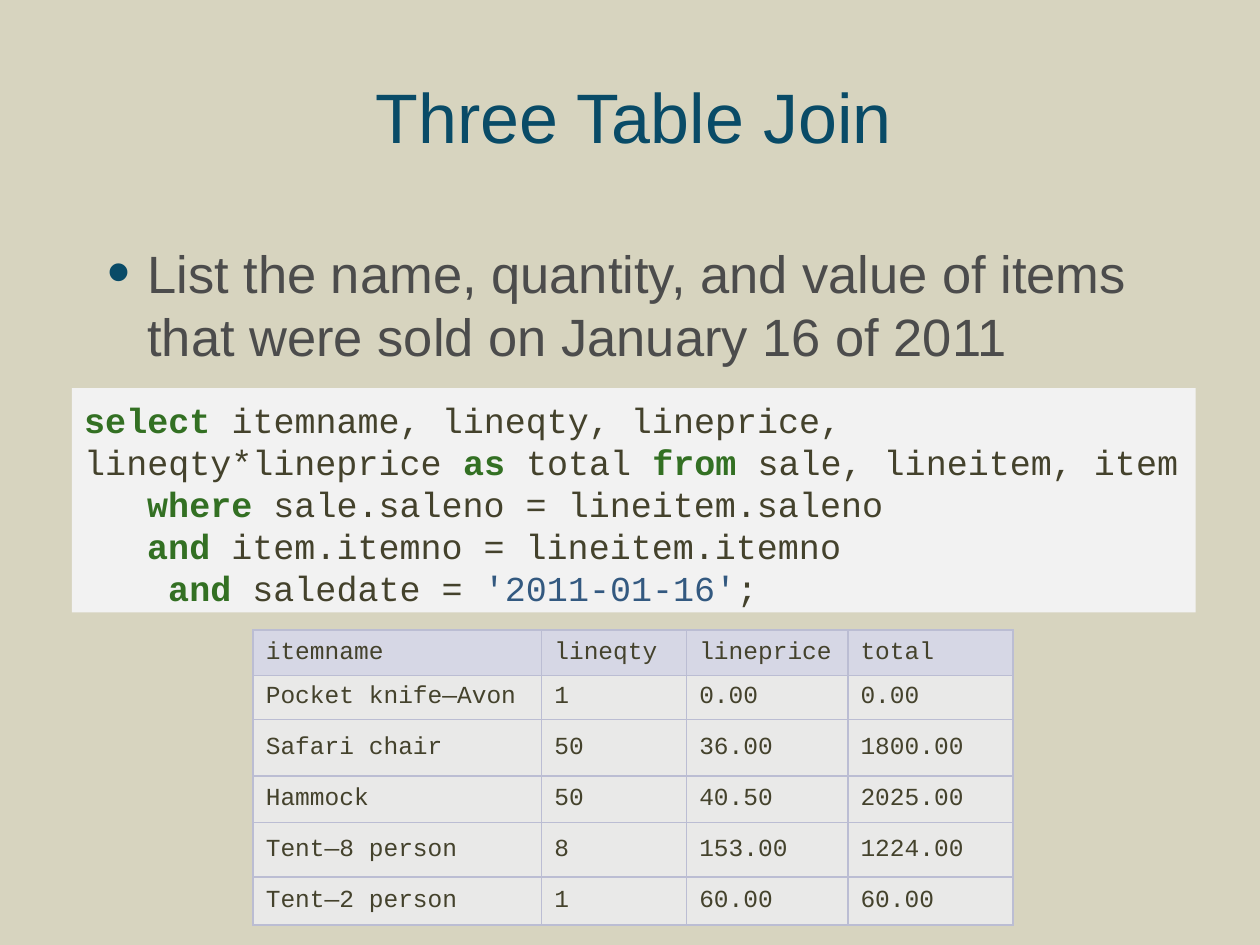
import dataclasses

import lxml.etree
import pptx
import pptx.dml.color
import pptx.enum.shapes
import pptx.enum.text
import pptx.oxml.ns
import pptx.util

COLUMNS, ROWS = 100, 75
UNIT = pptx.util.Inches(0.1)


@dataclasses.dataclass(frozen=True)
class Theme:
    background: str = "D7D4BF"
    accent: str = "094B67"
    body: str = "4C4C4C"
    code: str = "44422C"
    keyword: str = "337023"
    literal: str = "335980"
    panel: str = "F2F2F2"
    header: str = "D6D7E5"
    cell: str = "E9E9E8"
    border: str = "BBBDD3"
    sans: str = "Arial"
    mono: str = "Courier New"
    title_size: int = 40
    body_size: int = 30
    code_size: int = 20
    table_size: int = 14
    leading: float = 1.2


THEME = Theme()

# Each code line is a list of (style, text) spans.
QUERY = [
    [("keyword", "select "),
     ("code", "itemname, lineqty, lineprice, lineqty*lineprice "),
     ("keyword", "as"), ("code", " total "),
     ("keyword", "from"), ("code", " sale, lineitem, item")],
    [("code", "\t"), ("keyword", "where "), ("code", "sale.saleno = lineitem.saleno")],
    [("code", "\t"), ("keyword", "and "), ("code", "item.itemno = lineitem.itemno")],
    [("code", "\t"), ("keyword", " and "), ("code", "saledate = "),
     ("literal", "'2011-01-16'"), ("code", ";")],
]

RESULT = [
    ["itemname", "lineqty", "lineprice", "total"],
    ["Pocket knife—Avon", "1", "0.00", "0.00"],
    ["Safari chair", "50", "36.00", "1800.00"],
    ["Hammock", "50", "40.50", "2025.00"],
    ["Tent—8 person", "8", "153.00", "1224.00"],
    ["Tent—2 person", "1", "60.00", "60.00"],
]
RESULT_COLUMNS = [22.9, 11.5, 12.8, 13.1]
RESULT_ROWS = [3.6, 3.5, 4.5, 3.7, 4.3, 3.8]


def grid(*cells):
    """Turn grid columns or rows into slide lengths."""
    return [round(cell * UNIT) for cell in cells]


def rgb(color):
    return pptx.dml.color.RGBColor.from_string(color)


def paint(fill, color):
    fill.solid()
    fill.fore_color.rgb = rgb(color)


def style(font, name, size, color, bold=False):
    font.name = name
    font.size = pptx.util.Pt(size)
    font.color.rgb = rgb(color)
    font.bold = bold


def add_element(parent, tag, **attributes):
    child = lxml.etree.SubElement(parent, pptx.oxml.ns.qn(tag))
    for key, value in attributes.items():
        child.set(key, value)
    return child


def add_text(page, box, text, size, color):
    """Add a wrapped one-paragraph text box and return its frame."""
    frame = page.shapes.add_textbox(*grid(*box)).text_frame
    frame.word_wrap = True
    frame.text = text
    style(frame.paragraphs[0].runs[0].font, THEME.sans, size, color)
    return frame


def add_title(page, box, text):
    frame = add_text(page, box, text, THEME.title_size, THEME.accent)
    frame.vertical_anchor = pptx.enum.text.MSO_ANCHOR.MIDDLE
    frame.paragraphs[0].alignment = pptx.enum.text.PP_ALIGN.CENTER


def add_bullet(page, box, text):
    frame = add_text(page, box, text, THEME.body_size, THEME.body)
    inset = pptx.util.Inches(0.06)
    frame.margin_left = frame.margin_right = inset
    frame.margin_top = frame.margin_bottom = inset
    para = frame.paragraphs[0]
    para.line_spacing = pptx.util.Pt(THEME.body_size * THEME.leading)
    properties = para._p.get_or_add_pPr()
    properties.set("marL", str(pptx.util.Inches(0.51)))
    properties.set("indent", str(pptx.util.Inches(-0.32)))
    bullet_color = add_element(properties, "a:buClr")
    add_element(bullet_color, "a:srgbClr", val=THEME.accent)
    add_element(properties, "a:buSzPct", val="125000")
    add_element(properties, "a:buFont", typeface=THEME.sans)
    add_element(properties, "a:buChar", char="•")


def add_query(page, box, lines):
    panel = page.shapes.add_shape(
        pptx.enum.shapes.MSO_SHAPE.RECTANGLE, *grid(*box))
    panel.shadow.inherit = False
    paint(panel.fill, THEME.panel)
    panel.line.fill.background()
    frame = panel.text_frame
    frame.word_wrap = True
    frame.vertical_anchor = pptx.enum.text.MSO_ANCHOR.TOP
    frame.margin_top = pptx.util.Inches(0.08)
    for index, line in enumerate(lines):
        para = frame.add_paragraph() if index else frame.paragraphs[0]
        para.alignment = pptx.enum.text.PP_ALIGN.LEFT
        para.line_spacing = pptx.util.Pt(THEME.code_size * THEME.leading)
        for kind, text in line:
            span = para.add_run()
            span.text = text
            style(span.font, THEME.mono, THEME.code_size,
                  getattr(THEME, kind), bold=kind == "keyword")


def add_borders(cell):
    properties = cell._tc.get_or_add_tcPr()
    for position, tag in enumerate(("a:lnL", "a:lnR", "a:lnT", "a:lnB")):
        line = add_element(properties, tag, w=str(pptx.util.Pt(1)))
        add_element(add_element(line, "a:solidFill"), "a:srgbClr", val=THEME.border)
        properties.insert(position, line)


def add_result(page, corner, rows):
    size = sum(RESULT_COLUMNS), sum(RESULT_ROWS)
    table = page.shapes.add_table(
        len(rows), len(rows[0]), *grid(*corner, *size)).table
    for column, width in zip(table.columns, grid(*RESULT_COLUMNS)):
        column.width = width
    for row, height in zip(table.rows, grid(*RESULT_ROWS)):
        row.height = height
    for row_index, values in enumerate(rows):
        for column_index, value in enumerate(values):
            cell = table.cell(row_index, column_index)
            cell.text = value
            cell.vertical_anchor = pptx.enum.text.MSO_ANCHOR.MIDDLE
            paint(cell.fill, THEME.cell if row_index else THEME.header)
            add_borders(cell)
            style(cell.text_frame.paragraphs[0].runs[0].font,
                  THEME.mono, THEME.table_size, THEME.code)


def main():
    deck = pptx.Presentation()
    deck.slide_width, deck.slide_height = grid(COLUMNS, ROWS)
    page = deck.slides.add_slide(deck.slide_layouts[6])
    paint(page.background.fill, THEME.background)
    add_title(page, (6, 3.1, 88.6, 12.1), "Three Table Join")
    add_bullet(page, (6, 18.5, 88.6, 49.6),
               "List the name, quantity, and value of items "
               "that were sold on January 16 of 2011")
    add_query(page, (5.7, 30.8, 89.2, 17.8), QUERY)
    add_result(page, (20.1, 50), RESULT)
    deck.save("out.pptx")


if __name__ == "__main__":
    main()
